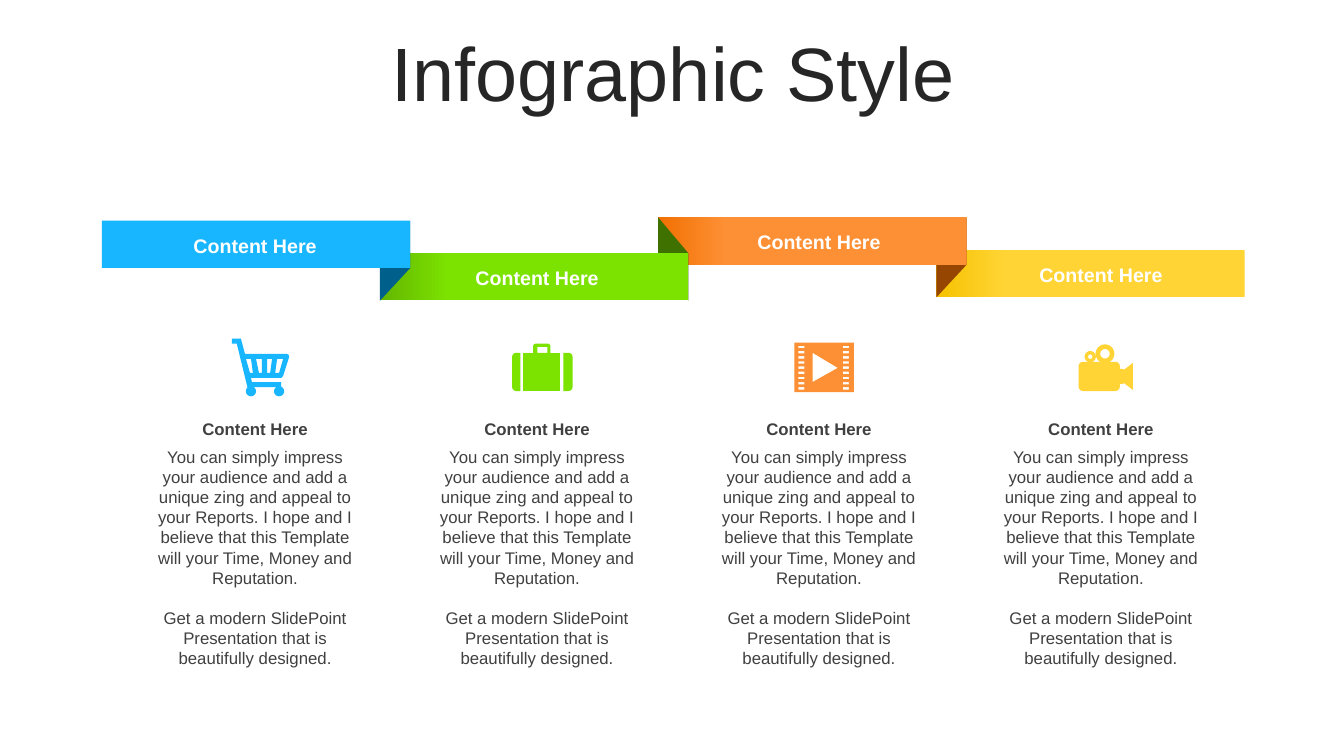
from math import cos, pi, sin

from pptx import Presentation
from pptx.dml.color import RGBColor
from pptx.enum.shapes import MSO_SHAPE
from pptx.enum.text import MSO_ANCHOR, MSO_AUTO_SIZE, PP_ALIGN
from pptx.util import Pt

TITLE = "Infographic Style"
HEADING = "Content Here"
DETAILS = [
    "You can simply impress your audience and add a unique zing and appeal to your Reports. "
    "I hope and I believe that this Template will your Time, Money and Reputation.",
    "Get a modern SlidePoint Presentation that is beautifully designed.",
]
COLORS = {
    "title": "262626", "text": "404040", "white": "FFFFFF",
    "blue": "17B6FF", "blue fold": "005F8B",
    "green": "7CE200", "green edge": "63B500", "green fold": "3E7100",
    "orange": "FD9034", "orange edge": "F27002", "orange fold": "974601",
    "yellow": "FFD434", "yellow edge": "F6C200",
}
# Color, banner top, icon name, icon left, icon top
STEPS = [
    ("blue", 157.7, "cart", 165.6, 241.9),
    ("green", 180.9, "suitcase", 365.8, 245.5),
    ("orange", 155.3, "film", 567.4, 244.8),
    ("yellow", 178.6, "camera", 770.4, 246.2),
]
BANNER_LEFT, BANNER_STEP, BANNER_WIDTH, BANNER_HEIGHT = 72.7, 198.72, 220.3, 33.8
COLUMN_LEFT, COLUMN_STEP, COLUMN_WIDTH = 106.6, 201.4, 158.4
LINE_PITCH = 14.4


def rounded(left, top, right, bottom, radii=(0, 0, 0, 0)):
    """Outline of a box; radii run clockwise from the top left corner."""
    corners = [(left, top, 1, 1), (right, top, -1, 1),
               (right, bottom, -1, -1), (left, bottom, 1, -1)]
    points = []
    for turn, ((x, y, across, down), radius) in enumerate(zip(corners, radii)):
        for step in range(9 if radius else 1):
            angle = pi + (turn + step / 8) * pi / 2
            points.append((x + radius * (across + cos(angle)) if radius else x,
                           y + radius * (down + sin(angle)) if radius else y))
    return points


def circle(x, y, radius):
    return [(x + radius * cos(n * pi / 16), y + radius * sin(n * pi / 16))
            for n in range(32)]


# Each icon is a list of parts; each part is an outline followed by its holes
ICONS = {
    "cart": [
        [
            [(0, 0), (6.5, 0), (9.4, 10.8), (39.2, 10.8), (40.6, 11.5), (41, 13),
             (36.7, 26.6), (35.3, 28.1), (13.7, 28.1), (14.4, 31), (35.3, 31),
             (35.3, 34.6), (15.8, 34.6), (15.8, 36), (11.5, 36), (3.6, 3.6), (0, 3.6)],
            [(32.4, 14.4), (31, 24.5), (33.8, 24.5), (36.7, 14.4)],
            [(25.2, 14.4), (25.2, 24.5), (27.4, 24.5), (28.8, 14.4)],
            [(17.3, 14.4), (19.4, 24.5), (21.6, 24.5), (21.6, 14.4)],
            [(10.1, 14.4), (13, 24.5), (15.1, 24.5), (13.7, 14.4)],
        ],
        [circle(13.7, 37.6, 3.6)],
        [circle(33.8, 37.6, 3.6)],
    ],
    "suitcase": [
        [rounded(0, 6.5, 5.8, 33.8, (3, 0, 0, 3))],
        [rounded(7.9, 6.5, 34.6, 33.8)],
        [rounded(36.7, 6.5, 43.2, 33.8, (0, 3, 3, 0))],
        [rounded(15.1, 0, 27.4, 6.5, (1.8, 1.8, 0, 0)), rounded(18, 2.2, 25.2, 6.5)],
    ],
    "film": [
        [rounded(0, 0, 42.5, 35.3), [(13, 7.2), (13, 28.1), (31, 18)]]
        + [rounded(x, 2.2 + 3.7 * row, x + 4.3, 3.9 + 3.7 * row)
           for row in range(9) for x in (2.9, 34.6)],
    ],
    "camera": [
        [rounded(0, 12.2, 29.5, 33.1, (3.3, 3.3, 3.3, 3.3))],
        [[(29.5, 17.3), (31.7, 17.3), (32.4, 18), (38.9, 13),
          (38.9, 32.4), (32.4, 27.4), (31.7, 28.1), (29.5, 28.1)]],
        [circle(18.9, 6.5, 6.7), circle(18.9, 6.5, 3.4)],
        [circle(8.4, 8.6, 4), circle(8.4, 8.6, 1.6)],
    ],
}


def color_of(name):
    return RGBColor.from_string(COLORS[name])


def finish(shape, color):
    shape.shadow.inherit = False
    shape.line.fill.background()
    shape.fill.solid()
    shape.fill.fore_color.rgb = color_of(color)


def add_outline(page, contours, color, left=0, top=0):
    builder = None
    for contour in contours:
        start, *others = [(Pt(left + x), Pt(top + y)) for x, y in contour]
        if builder is None:
            builder = page.shapes.build_freeform(*start)
        else:
            builder.move_to(*start)
        builder.add_line_segments(others, close=True)
    finish(builder.convert_to_shape(), color)


def add_banner(page, left, top, color):
    banner = page.shapes.add_shape(MSO_SHAPE.RECTANGLE, Pt(left), Pt(top),
                                   Pt(BANNER_WIDTH), Pt(BANNER_HEIGHT))
    finish(banner, color)
    edge = color + " edge"
    if edge in COLORS:
        banner.fill.gradient()
        banner.fill.gradient_angle = 180
        stops = zip(banner.fill.gradient_stops, (0.78, 1), (color, edge))
        for stop, position, shade in stops:
            stop.position = position
            stop.color.rgb = color_of(shade)


def write(para, text, size, color, bold=False):
    para.alignment = PP_ALIGN.CENTER
    span = para.add_run()
    span.text = text
    span.font.name = "Arial"
    span.font.size = Pt(size)
    span.font.bold = bold
    span.font.color.rgb = color_of(color)


def add_box(page, left, top, width, height, anchor):
    frame = page.shapes.add_textbox(Pt(left), Pt(top), Pt(width), Pt(height)).text_frame
    frame.word_wrap = True
    frame.vertical_anchor = anchor
    frame.margin_left = 0
    return frame


def add_title(page):
    title = page.shapes.title
    title.left, title.top, title.width, title.height = Pt(25.2), Pt(26.6), Pt(911.5), Pt(56.9)
    frame = title.text_frame
    frame.auto_size = MSO_AUTO_SIZE.NONE
    frame.vertical_anchor = MSO_ANCHOR.MIDDLE
    frame.paragraphs[0].line_spacing = 0.9
    write(frame.paragraphs[0], TITLE, 54, "title")


def add_ribbon(page):
    lefts = [BANNER_LEFT + BANNER_STEP * n for n in range(len(STEPS))]
    for n in reversed(range(len(STEPS))):
        color, top = STEPS[n][:2]
        if n + 1 < len(STEPS):
            inner, outer = lefts[n + 1], lefts[n] + BANNER_WIDTH
            next_top = STEPS[n + 1][1]
            fold = [(inner, next_top), (outer, top),
                    (outer, top + BANNER_HEIGHT), (inner, next_top + BANNER_HEIGHT)]
            add_outline(page, [fold], color + " fold")
        add_banner(page, lefts[n], top, color)


def add_column(page, left, step):
    color, banner_top, icon, icon_left, icon_top = step
    label = add_box(page, left + 6.5, banner_top + 5.2, 145.4, 24.5, MSO_ANCHOR.MIDDLE)
    write(label.paragraphs[0], HEADING, 14, "white", bold=True)
    for part in ICONS[icon]:
        add_outline(page, part, color, icon_left, icon_top)
    heading = add_box(page, left, 295.2, COLUMN_WIDTH, 21.6, MSO_ANCHOR.MIDDLE)
    write(heading.paragraphs[0], HEADING, 12, "text", bold=True)
    body = add_box(page, left, 315.4, COLUMN_WIDTH, 167, MSO_ANCHOR.TOP)
    for n, text in enumerate(DETAILS):
        para = body.add_paragraph() if n else body.paragraphs[0]
        para.line_spacing = Pt(LINE_PITCH)
        if n:
            para.space_before = Pt(LINE_PITCH)
        write(para, text, 12, "text")


def main():
    deck = Presentation()
    deck.slide_width, deck.slide_height = Pt(960), Pt(540)
    page = deck.slides.add_slide(deck.slide_layouts[5])
    add_title(page)
    add_ribbon(page)
    for n, step in enumerate(STEPS):
        add_column(page, COLUMN_LEFT + COLUMN_STEP * n, step)
    deck.save("out.pptx")


if __name__ == "__main__":
    main()
